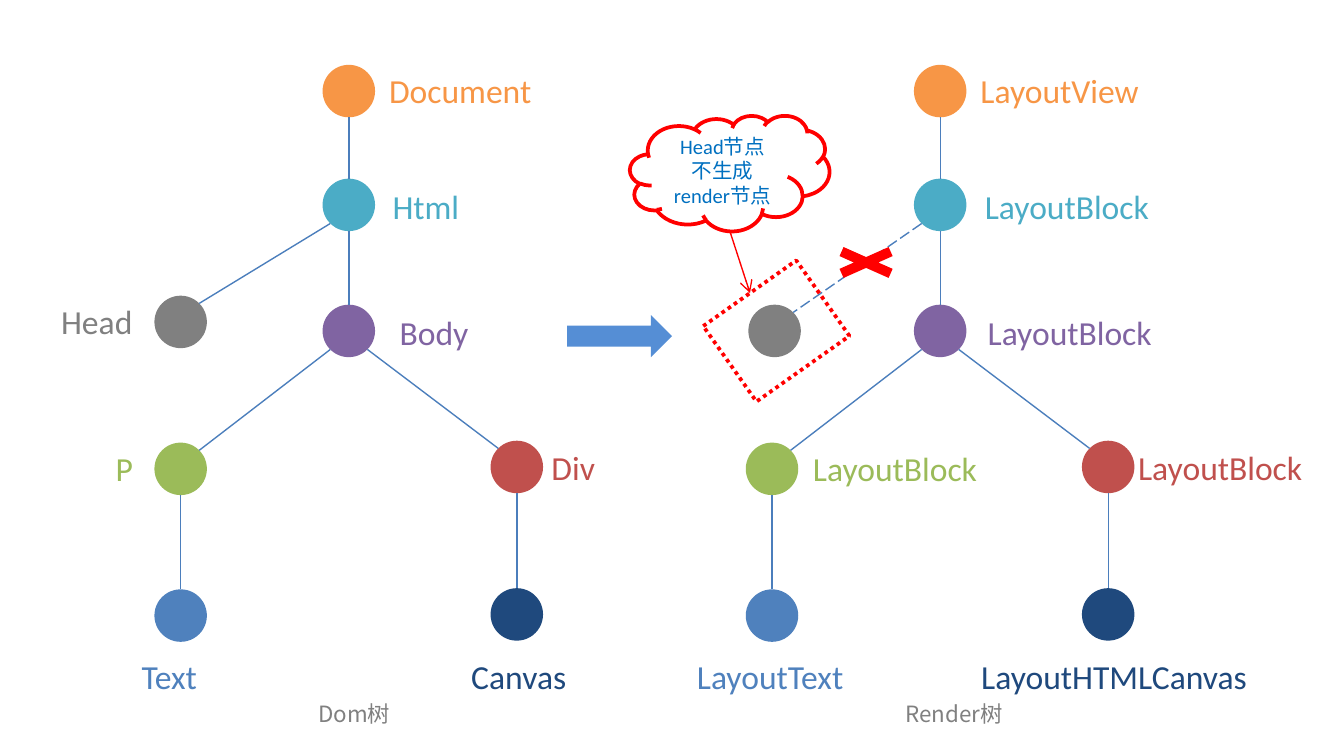
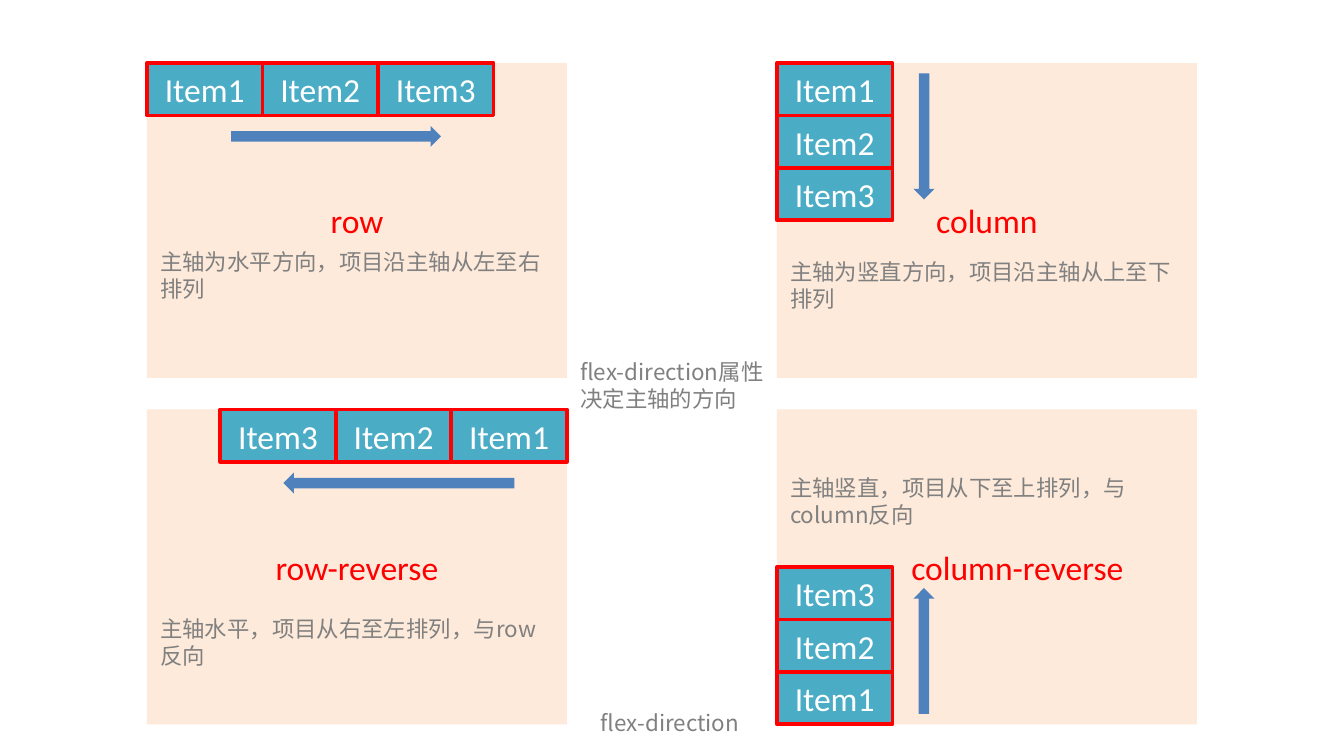
"""Build two slides: the DOM and render trees, and the flex-direction values."""
from dataclasses import dataclass
from math import sqrt

from lxml import etree
from pptx import Presentation
from pptx import util as u
from pptx.dml import color
from pptx.enum import dml, shapes, text
from pptx.oxml import ns


@dataclass(frozen=True)
class Theme:
    """Colours, fonts and type sizes."""
    orange: str = "F79646"
    teal: str = "4BACC6"
    purple: str = "8064A2"
    green: str = "9BBB59"
    brick: str = "C0504D"
    blue: str = "4F81BD"
    navy: str = "1F497D"
    grey: str = "808080"
    red: str = "FF0000"
    white: str = "FFFFFF"
    peach: str = "FDEADA"
    sky: str = "558ED5"
    edge: str = "4B7EBC"
    note: str = "0070C0"
    font: str = "Calibri"
    cjk: str = "Noto Sans CJK SC"
    label: float = 18
    caption: float = 12
    small: float = 11
    thin: float = 0.75
    thick: float = 2


T = Theme()
S = shapes.MSO_SHAPE
A = text.PP_ALIGN
WIDTH, HEIGHT = 720, 405

NODE = 28.12
NODES = {
    "root": (186.9, 48.8, T.orange, 33.8),
    "html": (186.9, 109.8, T.teal, 95.8),
    "body": (186.9, 177.3, T.purple, 163.4),
    "p": (96.8, 251.2, T.green, 236.2),
    "div": (276.9, 250.2, T.brick, 235.8),
    "text": (96.8, 329.8, T.blue, 347.8),
    "canvas": (276.9, 329.2, T.navy, 347.8),
    "head": (96.8, 172.5, T.grey, 157.7),
}
EDGES = [("root", "html"), ("html", "body"), ("body", "p"), ("body", "div"),
         ("p", "text"), ("div", "canvas"), ("html", "head")]
TREES = [
    {"shift": 0, "moved": {}, "dashed": [], "caption": ("Dom树", 163.4, 62),
     "labels": {"root": ("Document", 200.9, 91.4), "html": ("Html", 203, 50.4),
                "body": ("Body", 206.6, 51.8), "head": ("Head", 25.2, 53.3),
                "p": ("P", 54.7, 23.8), "div": ("Div", 288, 38.2),
                "text": ("Text", 68.4, 44.6), "canvas": ("Canvas", 244.8, 66.2)}},
    {"shift": 316.8, "moved": {"head": (98.2, 177.3)}, "dashed": ["head"],
     "caption": ("Render树", 478.1, 67.7),
     "labels": {"root": ("LayoutView", 517.7, 100), "html": ("LayoutBlock", 519.8, 103.7),
                "body": ("LayoutBlock", 521.3, 103.7), "p": ("LayoutBlock", 427.7, 103.7),
                "div": ("LayoutBlock", 601.9, 103.7), "text": ("LayoutText", 365.8, 93.6),
                "canvas": ("LayoutHTMLCanvas", 517.7, 158.4)}},
]
CAPTION_TOP = 371.5
CLOUD_TEXT = "Head节点不生成render节点"

PANEL_W, PANEL_H = 225, 168.75
ITEM_W, ITEM_H = 61.9, 28.12
ARROW_H = 11.25
COLUMNS, ROWS = (78.75, 416.25), (33.75, 219.38)
ITEMS = ["Item1", "Item2", "Item3"]
PANELS = [
    {"name": "row", "cell": (0, 0), "step": (1, 0), "indent": 0, "arrow": (180, 73.12, 112.5, 0),
     "note": ("主轴为水平方向，项目沿主轴从左至右排列", 129.6)},
    {"name": "column", "cell": (1, 0), "step": (0, 1), "indent": 0, "arrow": (495, 73.12, 67.5, 90),
     "note": ("主轴为竖直方向，项目沿主轴从上至下排列", 134.8)},
    {"name": "row-reverse", "cell": (0, 1), "step": (-1, 0), "indent": 0,
     "arrow": (213.75, 258.75, 123.75, 180),
     "note": ("主轴水平，项目从右至左排列，与row反向", 326.2)},
    {"name": "column-reverse", "cell": (1, 1), "step": (0, -1), "indent": 32.5,
     "arrow": (495, 348.75, 67.5, 270),
     "note": ("主轴竖直，项目从下至上排列，与column反向", 250.6)},
]
FLEX_NOTES = [("flex-direction属性决定主轴的方向", 303.8, 188.6, 112.5, 36),
              ("flex-direction", 314.8, 376.6, 95.8, 21.6)]


def rgb(value):
    """Return a colour object for a hex value."""
    return color.RGBColor.from_string(value)


def pts(*values):
    """Return the values as lengths in points."""
    return [u.Pt(v) for v in values]


def write(sp, words, size, ink, font=T.font, align=A.CENTER):
    """Put one formatted paragraph into a shape."""
    tf = sp.text_frame
    tf.text = words
    p = tf.paragraphs[0]
    p.alignment = align
    r = p.runs[0]
    r.font.size = u.Pt(size)
    r.font.color.rgb = rgb(ink)
    r.font.name = font
    etree.SubElement(r.font._element, ns.qn("a:ea"), typeface=T.cjk)


def add_shape(s, kind, box, fill=None, line=None, width=T.thick):
    """Add a flat preset shape."""
    sp = s.shapes.add_shape(kind, *pts(*box))
    sp.shadow.inherit = False
    if fill:
        sp.fill.solid()
        sp.fill.fore_color.rgb = rgb(fill)
    else:
        sp.fill.background()
    if line:
        sp.line.color.rgb = rgb(line)
        sp.line.width = u.Pt(width)
    else:
        sp.line.fill.background()
    sp.text_frame.vertical_anchor = text.MSO_ANCHOR.MIDDLE
    return sp


def add_text(s, words, box, size, ink, font=T.font, align=A.LEFT, wrap=True):
    """Add a text box that grows with its text."""
    sp = s.shapes.add_textbox(*pts(*box))
    sp.text_frame.word_wrap = wrap
    sp.text_frame.auto_size = text.MSO_AUTO_SIZE.SHAPE_TO_FIT_TEXT
    write(sp, words, size, ink, font, align)


def add_caption(s, words, *box):
    """Add a grey caption."""
    add_text(s, words, box, T.caption, T.grey, T.cjk)


def add_line(s, start, end, ink=T.edge):
    """Add a thin straight connector."""
    c = s.shapes.add_connector(shapes.MSO_CONNECTOR.STRAIGHT, *pts(*start, *end))
    c.line.color.rgb = rgb(ink)
    c.line.width = u.Pt(T.thin)
    etree.SubElement(c._element.spPr, ns.qn("a:effectLst"))
    return c


def edge_ends(parent, child):
    """Return the points where an edge leaves one node and meets the next."""
    (x1, y1), (x2, y2) = parent, child
    radius = NODE / 2
    side = (x2 > x1) - (x2 < x1)
    dx = side * radius / sqrt(2)
    dy = radius / sqrt(2) if side else radius
    return (x1 + dx, y1 + dy), (x2 - dx, y2 - dy)


def draw_tree(s, tree):
    """Draw the nodes, edges, labels and caption of one tree."""
    centres = {}
    for name, (x, y, ink, top) in NODES.items():
        x, y = tree["moved"].get(name, (x, y))
        x += tree["shift"]
        centres[name] = x, y
        add_shape(s, S.OVAL, (x - NODE / 2, y - NODE / 2, NODE, NODE), ink)
        if name in tree["labels"]:
            words, left, width = tree["labels"][name]
            add_text(s, words, (left, top, width, 28.8), T.label, ink,
                     align=A.CENTER, wrap=False)
    for parent, child in EDGES:
        c = add_line(s, *edge_ends(centres[parent], centres[child]))
        if child in tree["dashed"]:
            c.line.dash_style = dml.MSO_LINE.LONG_DASH
    words, left, width = tree["caption"]
    add_caption(s, words, left, CAPTION_TOP, width, 21.6)


def draw_trees(s):
    """Draw both trees and the notes on the dropped head node."""
    for tree in TREES:
        draw_tree(s, tree)
    sp = add_shape(s, S.FLOWCHART_PROCESS, (385.4, 152.6, 61, 49.5), line=T.red)
    sp.rotation = 324.8
    sp.line.dash_style = dml.MSO_LINE.ROUND_DOT
    cloud = add_shape(s, S.CLOUD, (337.5, 61.9, 106.9, 61.9), line=T.red)
    write(cloud, CLOUD_TEXT, T.small, T.note)
    pointer = add_line(s, (391, 123.8), (401.8, 157), T.red)
    etree.SubElement(pointer.line._get_or_add_ln(), ns.qn("a:tailEnd"), type="arrow")
    add_shape(s, S.MATH_MULTIPLY, (438.7, 129.4, 50.6, 22.5), T.red)
    add_shape(s, S.RIGHT_ARROW, (303.8, 168.8, 56.2, 22.5), T.sky)


def draw_panel(s, panel):
    """Draw one flex-direction value with its items, arrow and note."""
    col, row = panel["cell"]
    left, top = COLUMNS[col], ROWS[row]
    sp = add_shape(s, S.RECTANGLE, (left, top, PANEL_W, PANEL_H), T.peach)
    sp.text_frame.margin_left = u.Pt(7.2 + panel["indent"])
    write(sp, panel["name"], T.label, T.red)
    dx, dy = panel["step"]
    x = left + (PANEL_W - ITEM_W if dx < 0 else 0)
    y = top + (PANEL_H - ITEM_H if dy < 0 else 0)
    for i, words in enumerate(ITEMS):
        box = (x + i * dx * ITEM_W, y + i * dy * ITEM_H, ITEM_W, ITEM_H)
        write(add_shape(s, S.RECTANGLE, box, T.teal, T.red), words, T.label, T.white)
    words, note_top = panel["note"]
    add_caption(s, words, left, note_top, PANEL_W, 36)
    cx, cy, length, angle = panel["arrow"]
    arrow = add_shape(s, S.RIGHT_ARROW,
                      (cx - length / 2, cy - ARROW_H / 2, length, ARROW_H), T.blue)
    arrow.rotation = angle


def draw_flex(s):
    """Draw the four panels and the shared notes."""
    for panel in PANELS:
        draw_panel(s, panel)
    for note in FLEX_NOTES:
        add_caption(s, *note)


prs = Presentation()
prs.slide_width, prs.slide_height = pts(WIDTH, HEIGHT)
for draw in (draw_trees, draw_flex):
    draw(prs.slides.add_slide(prs.slide_layouts[6]))
prs.save("out.pptx")
